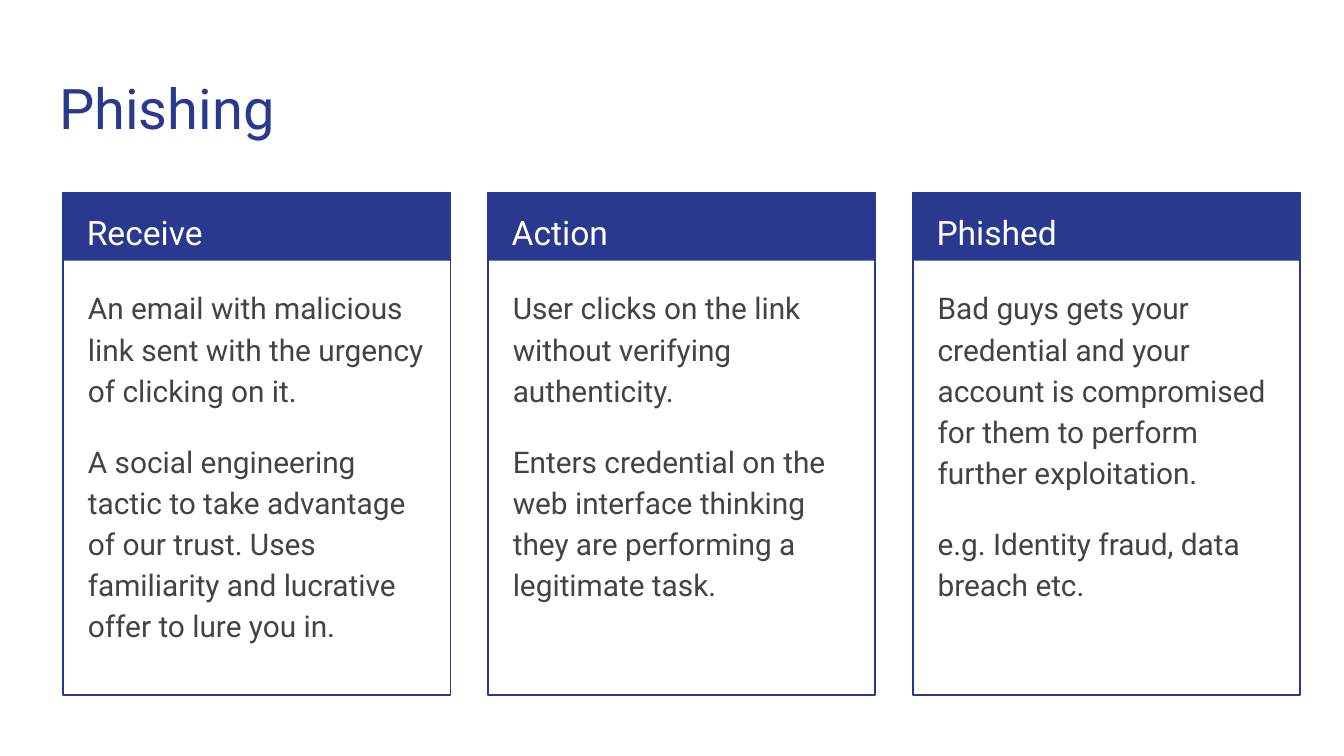
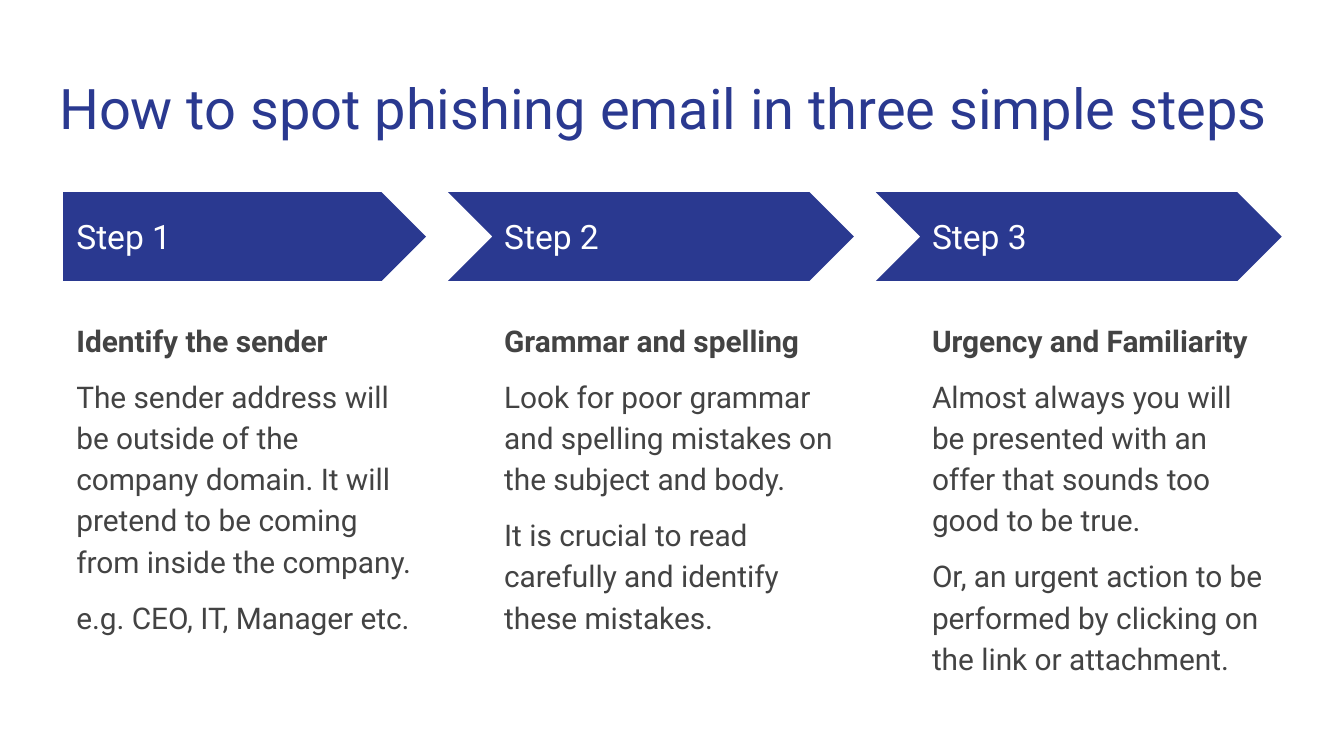
"""Build two slides on how phishing works and how to spot it."""
from pptx import Presentation
from pptx import util as u
from pptx.dml.color import RGBColor
from pptx.enum import shapes, text

FONT = "Roboto"
NAVY, GREY, WHITE = "2A3990", "434343", "FFFFFF"
LEFT, TOP = 33.84, 103

STAGES = [
    ("Receive", [
        "An email with malicious link sent with the urgency of clicking on it.",
        "A social engineering tactic to take advantage of our trust. "
        "Uses familiarity and lucrative offer to lure you in."]),
    ("Action", [
        "User clicks on the link without verifying authenticity.",
        "Enters credential on the web interface thinking they are "
        "performing a legitimate task."]),
    ("Phished", [
        "Bad guys gets your credential and your account is compromised "
        "for them to perform further exploitation.",
        "e.g. Identity fraud, data breach etc."]),
]

STEPS = [
    ["Identify the sender",
     "The sender address will be outside of the company domain. "
     "It will pretend to be coming from inside the company.",
     "e.g. CEO, IT, Manager etc."],
    ["Grammar and spelling",
     "Look for poor grammar and spelling mistakes on the subject and body.",
     "It is crucial to read carefully and identify these mistakes."],
    ["Urgency and Familiarity",
     "Almost always you will be presented with an offer that sounds "
     "too good to be true.",
     "Or, an urgent action to be performed by clicking on the link "
     "or attachment."],
]


def rgb(code):
    return RGBColor.from_string(code)


class Deck:
    def __init__(self):
        self.prs = Presentation()
        self.prs.slide_width, self.prs.slide_height = u.Pt(720), u.Pt(405)
        self.slide = None

    def new_slide(self, title):
        self.slide = self.prs.slides.add_slide(self.prs.slide_layouts[5])
        heading = self.slide.shapes.title
        heading.left, heading.top = u.Pt(24.5), u.Pt(32.4)
        heading.width, heading.height = u.Pt(671), u.Pt(47.5)
        self.set_text(heading.text_frame, [title], 30, NAVY)

    def set_text(self, frame, lines, size, colour, leading=1.0, gap=0,
                 bold_first=False, anchor=text.MSO_ANCHOR.TOP):
        frame.word_wrap = True
        frame.auto_size = text.MSO_AUTO_SIZE.NONE
        frame.vertical_anchor = anchor
        frame.margin_left = frame.margin_right = u.Pt(7.2)
        frame.margin_top = frame.margin_bottom = u.Pt(7.2)
        for i, line in enumerate(lines):
            para = frame.add_paragraph() if i else frame.paragraphs[0]
            para.text = line
            para.alignment = text.PP_ALIGN.LEFT
            para.line_spacing = leading
            para.space_before = u.Pt(gap if i else 0)
            para.space_after = u.Pt(0)
            para.font.name, para.font.size = FONT, u.Pt(size)
            para.font.bold = bold_first and i == 0
            para.font.color.rgb = rgb(colour)

    def textbox(self, left, top, width, height, lines, size, colour, **style):
        box = self.slide.shapes.add_textbox(
            u.Pt(left), u.Pt(top), u.Pt(width), u.Pt(height))
        self.set_text(box.text_frame, lines, size, colour, **style)

    def shape(self, kind, left, top, width, height, fill=None, line=None):
        item = self.slide.shapes.add_shape(
            kind, u.Pt(left), u.Pt(top), u.Pt(width), u.Pt(height))
        item.shadow.inherit = False
        if fill:
            item.fill.solid()
            item.fill.fore_color.rgb = rgb(fill)
        else:
            item.fill.background()
        if line:
            item.line.color.rgb = rgb(line)
            item.line.width = u.Pt(0.75)
        else:
            item.line.fill.background()

    def card(self, left, heading, lines):
        rect = shapes.MSO_SHAPE.RECTANGLE
        self.shape(rect, left, TOP, 207.4, 36.7, fill=NAVY)
        self.shape(rect, left, TOP, 207.4, 269.3, line=NAVY)
        self.textbox(left + 5.6, TOP, 196.6, 36, [heading], 18, WHITE,
                     leading=1.15)
        self.textbox(left + 6.2, 145.4, 195.2, 220.3, lines, 16, GREY,
                     leading=1.15, gap=16)

    def step(self, left, number, lines):
        width, notch = 194.4, 23
        if number == 1:
            self.shape(shapes.MSO_SHAPE.PENTAGON, left, TOP, width, 47.5,
                       fill=NAVY)
        else:
            self.shape(shapes.MSO_SHAPE.CHEVRON, left - notch, TOP,
                       width + notch, 47.5, fill=NAVY)
        self.textbox(left, 114.5, 177.8, 24.5, [f"Step {number}"], 18, WHITE,
                     anchor=text.MSO_ANCHOR.MIDDLE)
        self.textbox(left, 162.7, width, 208.8, lines, 16, GREY,
                     leading=1.15, gap=8, bold_first=True)


def main():
    deck = Deck()
    deck.new_slide("Phishing")
    for i, (heading, lines) in enumerate(STAGES):
        deck.card(LEFT + i * 227.6, heading, lines)

    deck.new_slide("How to spot phishing email in three simple steps")
    for i, lines in enumerate(STEPS):
        deck.step(LEFT + i * 229.2, i + 1, lines)

    deck.prs.save("out.pptx")


if __name__ == "__main__":
    main()
